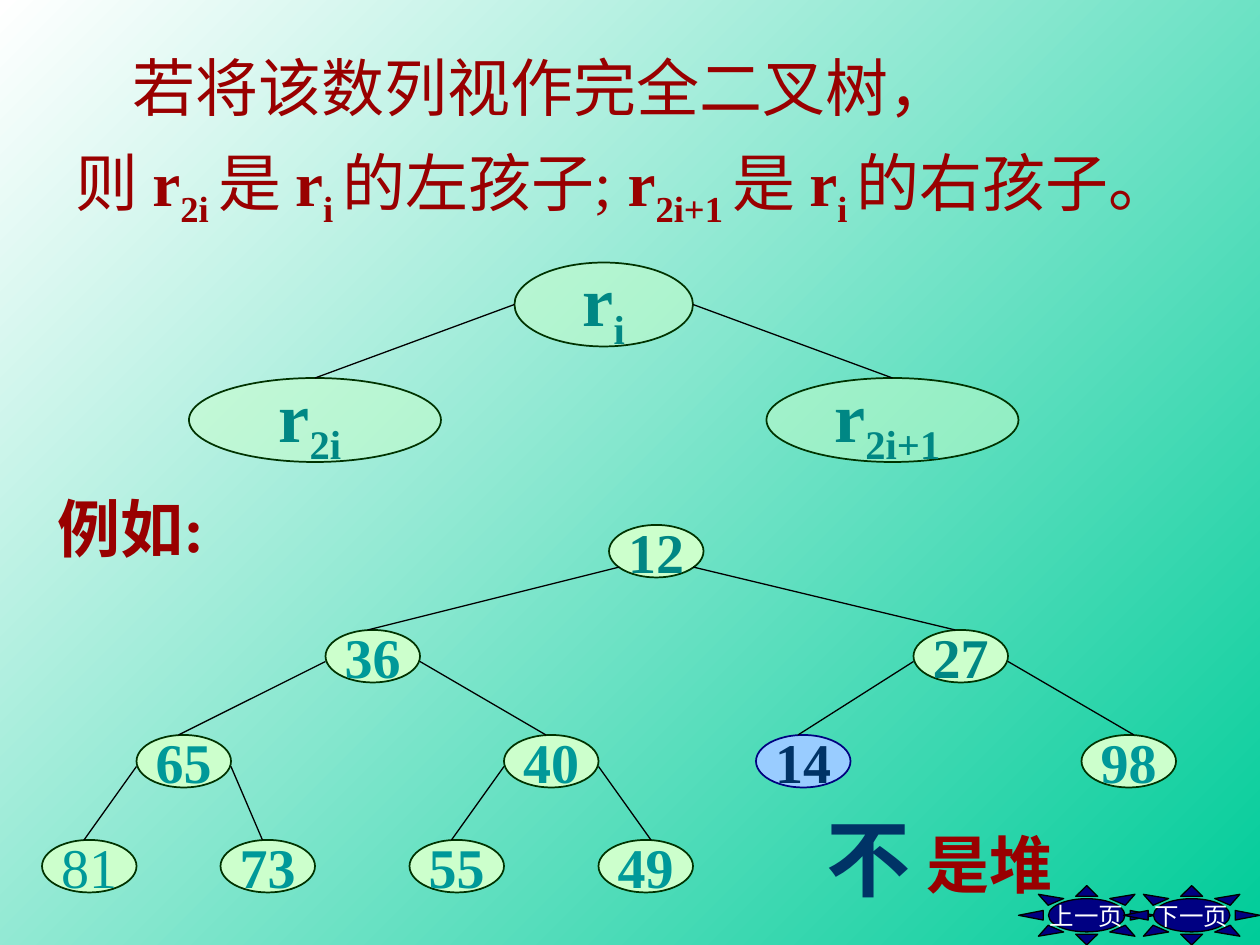
from lxml import etree
from pptx import Presentation, util as u
from pptx.dml.color import RGBColor
from pptx.enum import shapes, text
from pptx.oxml.ns import qn

deck = Presentation()
deck.slide_width, deck.slide_height = u.Inches(10), u.Inches(7.5)
slide = deck.slides.add_slide(deck.slide_layouts[6])
items = slide.shapes
cell = deck.slide_width / 120
hue = RGBColor.from_string


def write(box, paras, size, color, bold=False, align=None, wrap=False, gap=0, indent=0):
    frame = box.text_frame
    frame.word_wrap = wrap
    for n, runs in enumerate(paras):
        para = frame.paragraphs[0] if n == 0 else frame.add_paragraph()
        para.alignment = align
        if n:
            para.space_before = u.Pt(gap)
        elif indent:
            para._p.get_or_add_pPr().set("indent", str(u.Inches(indent)))
        for words, mark in runs:
            run = para.add_run()
            run.text = words
            font = run.font
            font.name, font.size = "Times New Roman", u.Pt(size)
            font.bold = bold or mark in ("bold", "sub")
            font.color.rgb = hue(color)
            if mark == "sub":
                font._element.set("baseline", "-25000")


def draw(kind, col, row, wide, high, fill, edge, weight, runs, size, color, bold=True):
    form = items.add_shape(kind, *[round(v * cell) for v in (col, row, wide, high)])
    form.shadow.inherit = False
    form.fill.solid()
    form.fill.fore_color.rgb = hue(fill)
    form.line.color.rgb = hue(edge)
    form.line.width = u.Pt(weight)
    form.text_frame.vertical_anchor = text.MSO_ANCHOR.MIDDLE
    write(form, [runs], size, color, bold=bold, align=text.PP_ALIGN.CENTER)
    return form


back = slide.background.fill
back.gradient()
back.gradient_angle = 315
for stop, tint in zip(back.gradient_stops, ("FFFFFF", "00CC99")):
    stop.color.rgb = hue(tint)

oval = shapes.MSO_SHAPE.OVAL
for col, label in ((97, "上一页"), (107, "下一页")):
    sun = draw(shapes.MSO_SHAPE.SUN, col, 84.35, 13, 5.65, "000082", "000000", 0.75,
               [(label, "")], 14, "FFFFFF", bold=False)
    sun.adjustments[0] = 0.22

for col, row, wide, sub in ((49, 25, 17, "i"), (18, 36, 24, "2i "), (73, 36, 24, "2i+1 ")):
    node = draw(oval, col, row, wide, 8, "CCFFCC", "003300", 1,
                [("r", "bold"), (sub, "sub")], 40, "008784")
    tone = node._element.spPr.find(qn("a:solidFill"))[0]
    etree.SubElement(tone, qn("a:alpha")).set("val", "50000")

nodes = [
    (58, 50, "12", "008784"), (31, 60, "36", "009999"), (87, 60, "27", "008784"),
    (13, 70, "65", "009999"), (48, 70, "40", "009999"), (72, 70, "14", "003366"),
    (103, 70, "98", "009999"), (4, 80, "81", "009999"), (21, 80, "73", "009999"),
    (39, 80, "55", "009999"), (57, 80, "49", "009999"),
]
for col, row, label, color in nodes:
    odd = label == "14"
    draw(oval, col, row, 9, 5, "99CCFF" if odd else "CCFFCC", "000080" if odd else "003300",
         1, [(label, "")], 32, color, bold=label != "81")

links = [
    (49, 29, 30, 36), (66, 29, 85, 36),
    (59, 54, 35, 60), (66, 54, 91, 60),
    (31, 63, 17, 70), (40, 63, 52, 70), (87, 63, 76, 70), (96, 63, 108, 70),
    (13, 73, 8, 80), (22, 73, 25, 80), (48, 73, 43, 80), (57, 73, 62, 80),
]
for ends in links:
    link = items.add_connector(shapes.MSO_CONNECTOR.STRAIGHT, *[round(v * cell) for v in ends])
    link.line.color.rgb = hue("000000")
    link.line.width = u.Pt(0.75)
    etree.SubElement(link._element.spPr, qn("a:effectLst"))

rule = [
    [("若将该数列视作完全二叉树，", "")],
    [("则 ", ""), ("r", "bold"), ("2i ", "sub"), ("是 ", ""), ("r", "bold"), ("i ", "sub"),
     ("的左孩子; ", ""), ("r", "bold"), ("2i+1 ", "sub"), ("是 ", ""), ("r", "bold"),
     ("i ", "sub"), ("的右孩子。", "")],
]
notes = [
    (6, 4, 110, 25.7, rule, 36, "990000", dict(wrap=True, gap=11.2, indent=0.45)),
    (4.3, 46, 17.8, 8.4, [[("例如:", "")]], 36, "990000", dict(bold=True)),
    (87.1, 78, 14.4, 8.4, [[("是堆", "")]], 36, "990000", dict(bold=True)),
    (77.5, 76.2, 10.3, 10.8, [[("不", "")]], 48, "003366", dict(bold=True)),
]
for col, row, wide, high, paras, size, color, look in notes:
    box = items.add_textbox(*[round(v * cell) for v in (col, row, wide, high)])
    box.text_frame.auto_size = text.MSO_AUTO_SIZE.SHAPE_TO_FIT_TEXT
    write(box, paras, size, color, **look)

deck.save("out.pptx")
